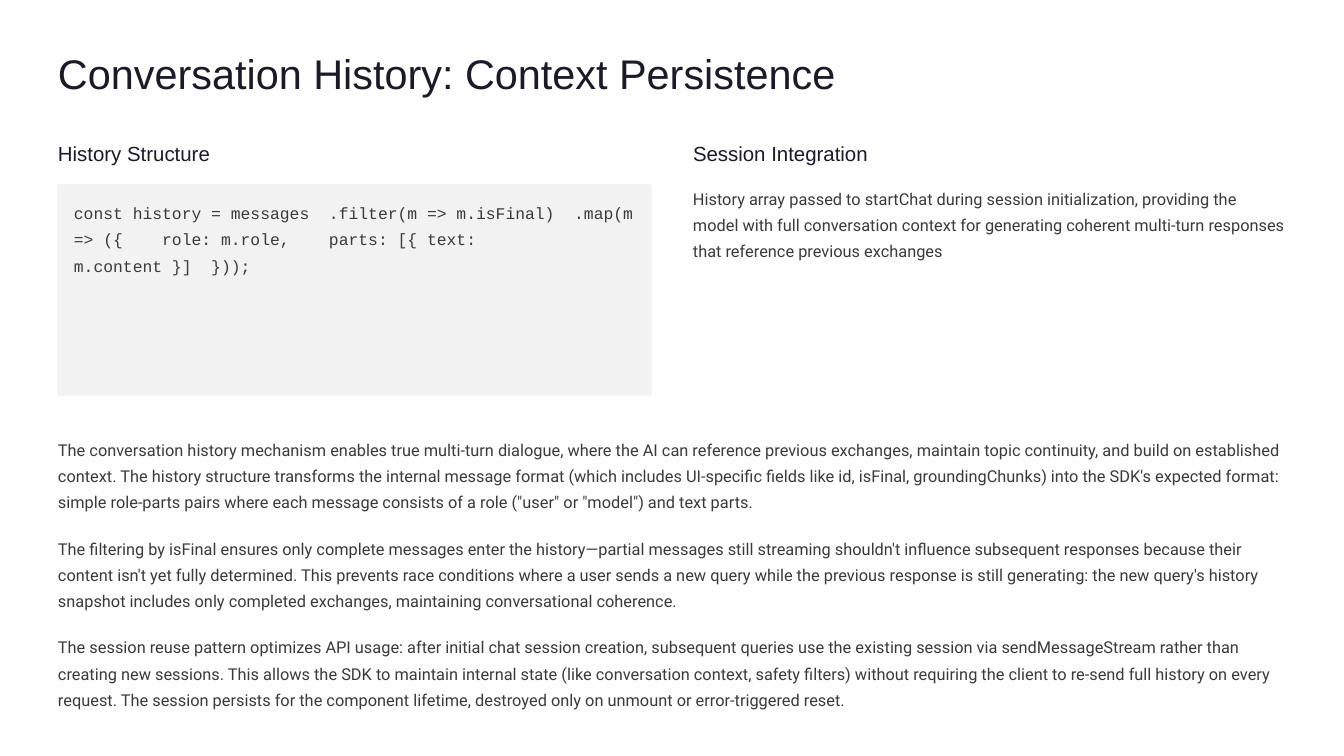
from typing import NamedTuple

from pptx import Presentation
from pptx.dml.color import RGBColor
from pptx.enum.shapes import MSO_SHAPE
from pptx.util import Inches, Pt

COLORS = {"page": "FEFEFE", "panel": "F2F2F2", "heading": "1B1B27", "body": "3C3939"}
LEFT, RIGHT = 0.69, 8.25
COLUMN_WIDTH, FULL_WIDTH = 7.06, 14.61
NOTES_TOP, NOTES_STEP = 5.16, 1.175


class Style(NamedTuple):
    font: str
    size: float
    leading: float
    color: str


class TextBlock(NamedTuple):
    left: float
    top: float
    width: float
    height: float
    text: str
    style: Style


TITLE = Style("Arial", 35.5, 44.5, "heading")
HEADING = Style("Arial", 17.5, 22, "heading")
BODY = Style("Roboto", 14, 22.5, "body")
CODE = Style("Courier New", 14, 22.5, "body")

NOTES = [
    "The conversation history mechanism enables true multi-turn dialogue, where the AI can "
    "reference previous exchanges, maintain topic continuity, and build on established context. "
    "The history structure transforms the internal message format (which includes UI-specific "
    "fields like id, isFinal, groundingChunks) into the SDK's expected format: simple role-parts "
    'pairs where each message consists of a role ("user" or "model") and text parts.',
    "The filtering by isFinal ensures only complete messages enter the history—partial messages "
    "still streaming shouldn't influence subsequent responses because their content isn't yet "
    "fully determined. This prevents race conditions where a user sends a new query while the "
    "previous response is still generating: the new query's history snapshot includes only "
    "completed exchanges, maintaining conversational coherence.",
    "The session reuse pattern optimizes API usage: after initial chat session creation, "
    "subsequent queries use the existing session via sendMessageStream rather than creating new "
    "sessions. This allows the SDK to maintain internal state (like conversation context, safety "
    "filters) without requiring the client to re-send full history on every request. The session "
    "persists for the component lifetime, destroyed only on unmount or error-triggered reset.",
]

BLOCKS = [
    TextBlock(LEFT, 0.55, 10.02, 0.62, "Conversation History: Context Persistence", TITLE),
    TextBlock(LEFT, 1.66, 2.48, 0.31, "History Structure", HEADING),
    TextBlock(
        0.88, 2.34, 6.69, 2.22,
        "const history = messages  .filter(m => m.isFinal)  .map(m => ({    role: m.role,"
        "    parts: [{ text: m.content }]  }));",
        CODE,
    ),
    TextBlock(RIGHT, 1.66, 2.48, 0.31, "Session Integration", HEADING),
    TextBlock(
        RIGHT, 2.17, COLUMN_WIDTH, 0.95,
        "History array passed to startChat during session initialization, providing the model "
        "with full conversation context for generating coherent multi-turn responses that "
        "reference previous exchanges",
        BODY,
    ),
] + [
    TextBlock(LEFT, NOTES_TOP + i * NOTES_STEP, FULL_WIDTH, 0.95, note, BODY)
    for i, note in enumerate(NOTES)
]


def rgb(name: str) -> RGBColor:
    return RGBColor.from_string(COLORS[name])


def add_panel(slide) -> None:
    sp = slide.shapes.add_shape(
        MSO_SHAPE.ROUNDED_RECTANGLE, Inches(0.68), Inches(2.19), Inches(7.08), Inches(2.52)
    )
    sp.adjustments[0] = 0.012
    sp.shadow.inherit = False
    sp.fill.solid()
    sp.fill.fore_color.rgb = rgb("panel")
    sp.line.fill.background()


def add_text(slide, block: TextBlock) -> None:
    sp = slide.shapes.add_textbox(
        Inches(block.left), Inches(block.top), Inches(block.width), Inches(block.height)
    )
    tf = sp.text_frame
    tf.word_wrap = True
    tf.margin_left = tf.margin_top = tf.margin_right = tf.margin_bottom = 0
    p = tf.paragraphs[0]
    p.text = block.text
    p.line_spacing = Pt(block.style.leading)
    p.font.name = block.style.font
    p.font.size = Pt(block.style.size)
    p.font.color.rgb = rgb(block.style.color)


def main() -> None:
    prs = Presentation()
    prs.slide_width, prs.slide_height = Inches(16), Inches(9)
    slide = prs.slides.add_slide(prs.slide_layouts[6])
    slide.background.fill.solid()
    slide.background.fill.fore_color.rgb = rgb("page")
    add_panel(slide)
    for block in BLOCKS:
        add_text(slide, block)
    prs.save("out.pptx")


if __name__ == "__main__":
    main()
